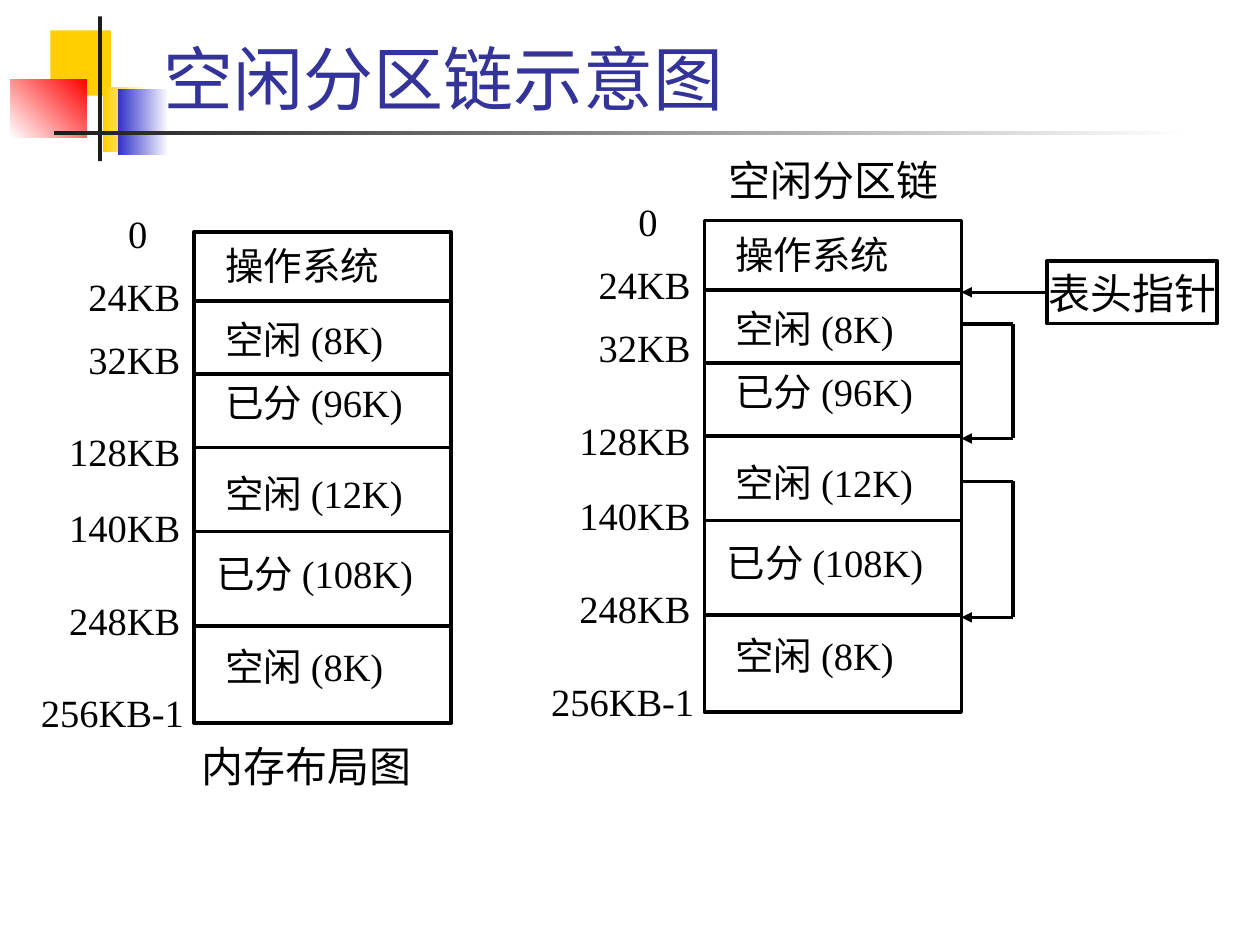
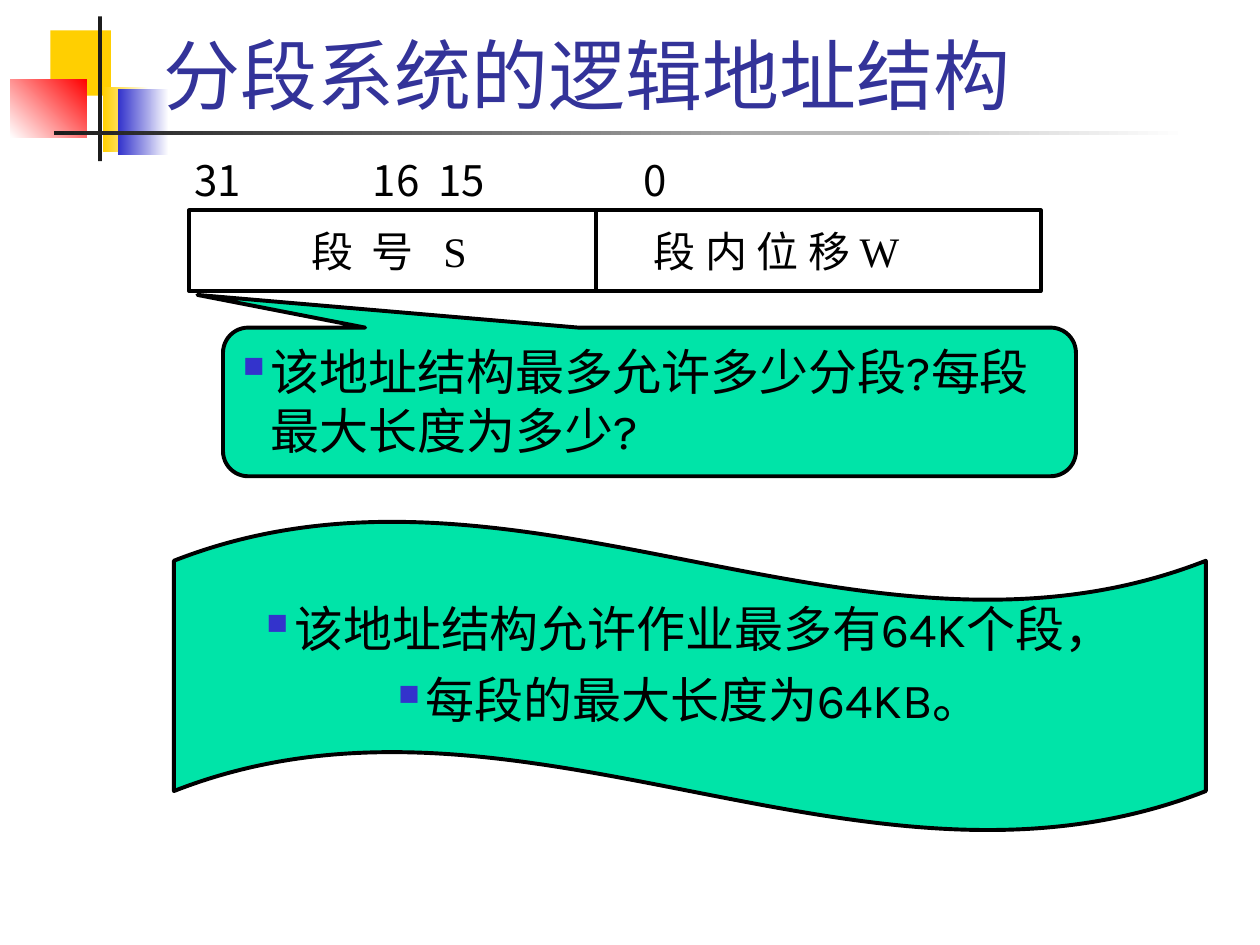
"""Build two slides on free partition chains and segmented addresses."""
from dataclasses import dataclass

from lxml.etree import SubElement
from pptx import Presentation
from pptx.dml.color import RGBColor
from pptx.enum.shapes import MSO_CONNECTOR, MSO_SHAPE
from pptx.enum.text import MSO_ANCHOR, MSO_AUTO_SIZE, PP_ALIGN
from pptx.oxml.ns import qn
from pptx.util import Inches, Pt


@dataclass(frozen=True)
class Theme:
    ink: RGBColor = RGBColor(0, 0, 0)
    paper: RGBColor = RGBColor(255, 255, 255)
    title: RGBColor = RGBColor(0x33, 0x33, 0x99)
    yellow: RGBColor = RGBColor(0xFF, 0xCF, 0x01)
    blue: RGBColor = RGBColor(0x33, 0x33, 0xCC)
    red: RGBColor = RGBColor(255, 0, 0)
    charcoal: RGBColor = RGBColor(0x1C, 0x1C, 0x1C)
    green: RGBColor = RGBColor(0, 0xE4, 0xA8)
    sans: str = "Karla"
    serif: str = "Times New Roman"
    digits: str = "Noto Sans CJK SC"
    memory_size: int = 22
    label_size: int = 24
    note_size: int = 28
    thin: float = 2
    thick: float = 2.25


THEME = Theme()


def add_box(slide, place, lines, preset=None, fill=None, border=None, insets=(0, 0, 0, 0),
            anchor=MSO_ANCHOR.TOP, align=PP_ALIGN.LEFT, font=THEME.sans,
            size=THEME.label_size, wrap=True):
    """Add a text box, or a preset shape with text, and return it."""
    place = [Inches(value) for value in place]
    if preset is None:
        box = slide.shapes.add_textbox(*place)
    else:
        box = slide.shapes.add_shape(preset, *place)
        box.shadow.inherit = False
        if fill is None:
            box.fill.background()
        else:
            box.fill.solid()
            box.fill.fore_color.rgb = fill
        box.line.color.rgb = THEME.ink
        box.line.width = Pt(border)
    frame = box.text_frame
    frame.word_wrap = wrap
    frame.vertical_anchor = anchor
    frame.margin_left, frame.margin_top, frame.margin_right, frame.margin_bottom = map(Inches, insets)
    for index, words in enumerate(lines):
        paragraph = frame.add_paragraph() if index else frame.paragraphs[0]
        paragraph.text = words
        paragraph.alignment = align
        paragraph.font.name = font
        paragraph.font.size = Pt(size)
        paragraph.font.color.rgb = THEME.ink
    return box


def add_line(slide, start, end, width=THEME.thin, arrow=False):
    """Add a straight line, with an arrowhead at its end if asked."""
    line = slide.shapes.add_connector(MSO_CONNECTOR.STRAIGHT, *map(Inches, start + end))
    line.line.color.rgb = THEME.ink
    line.line.width = Pt(width)
    if arrow:
        SubElement(line.line._get_or_add_ln(), qn("a:tailEnd"), type="triangle")
    SubElement(line._element.spPr, qn("a:effectLst"))
    return line


prs = Presentation()
prs.slide_width, prs.slide_height = Inches(10), Inches(7.5)
layout = prs.slide_layouts[5]
chain_slide, segment_slide = [prs.slides.add_slide(layout) for _ in range(2)]

ornaments = [
    ((0.4, 0.24, 0.48, 0.52), (THEME.yellow,), 0),
    ((0.82, 0.69, 0.36, 0.52), (THEME.paper, THEME.yellow), 180),
    ((0.94, 0.71, 0.4, 0.52), (THEME.paper, THEME.blue), 180),
    ((0.08, 0.63, 0.61, 0.46), (THEME.red, THEME.paper), 225),
    ((0.78, 0.13, 0.03, 1.15), (THEME.charcoal,), 0),
    ((0.43, 1.04, 9, 0.03), (THEME.paper, THEME.charcoal), 180),
]
for depth, (place, colours, angle) in enumerate(ornaments):
    ornament = chain_slide.shapes.add_shape(MSO_SHAPE.RECTANGLE, *map(Inches, place))
    ornament.shadow.inherit = False
    ornament.line.fill.background()
    if len(colours) == 1:
        ornament.fill.solid()
        ornament.fill.fore_color.rgb = colours[0]
    else:
        ornament.fill.gradient()
        ornament.fill.gradient_angle = angle
        for stop, colour in zip(ornament.fill.gradient_stops, colours):
            stop.color.rgb = colour
    layout.shapes.element.insert(2 + depth, ornament._element)

for slide, words, size in [(chain_slide, "空闲分区链示意图", 40),
                           (segment_slide, "分段系统的逻辑地址结构", 44)]:
    title = slide.shapes.title
    title.left, title.top, title.width, title.height = map(Inches, (1.2, 0.17, 8.52, 0.83))
    title.text_frame.text = words
    title.text_frame.auto_size = MSO_AUTO_SIZE.NONE
    title.text_frame.vertical_anchor = MSO_ANCHOR.BOTTOM
    heading = title.text_frame.paragraphs[0]
    heading.alignment = PP_ALIGN.LEFT
    heading.font.name = THEME.sans
    heading.font.size = Pt(size)
    heading.font.color.rgb = THEME.title

partitions = [("操作系统", 0, 0.15), ("空闲 (8K)", 16, 0.15), ("已分 (96K)", 10, 0.15),
              ("空闲 (12K)", 26, 0.15), ("已分 (108K)", 20, 0.08), ("空闲 (8K)", 27, 0.15)]
addresses = [("0", 0, 0.29), ("24KB", 10, 0.03), ("32KB", 10, 0.03), ("128KB", 27, 0.03),
             ("140KB", 17, 0.03), ("248KB", 27, 0.03), ("256KB-1", 27, 0)]
for left, top in [(1.54, 1.84), (5.59, 1.75)]:
    memory = add_box(chain_slide, (left, top, 2.04, 3.9), [row[0] for row in partitions],
                     MSO_SHAPE.RECTANGLE, THEME.paper, THEME.thin, (0.1, 0.09, 0.1, 0.13),
                     font=THEME.serif, size=THEME.memory_size)
    scale = add_box(chain_slide, (left - 1.24, top - 0.19, 1.16, 4.25),
                    [row[0] for row in addresses], insets=(0, 0.02, 0, 0),
                    align=PP_ALIGN.RIGHT, font=THEME.serif, size=THEME.memory_size)
    for column, rows, side in [(memory, partitions, "marL"), (scale, addresses, "marR")]:
        for paragraph, (_, gap, indent) in zip(column.text_frame.paragraphs, rows):
            paragraph.line_spacing = Pt(26)
            paragraph.space_before = Pt(gap)
            paragraph._p.get_or_add_pPr().set(side, str(Inches(indent)))
    for offset in (0.55, 1.13, 1.71, 2.38, 3.13):
        add_line(chain_slide, (left, top + offset), (left + 2.04, top + offset))

chain_edge, bend = 7.63, 8.04
for start, end in [(2.57, 3.48), (3.82, 4.9)]:
    add_line(chain_slide, (chain_edge, start), (bend, start))
    add_line(chain_slide, (bend, start), (bend, end))
    add_line(chain_slide, (bend, end), (chain_edge, end), arrow=True)

head_pointer = add_box(chain_slide, (8.31, 2.07, 1.35, 0.5), ["表头指针"], MSO_SHAPE.RECTANGLE,
                       border=THEME.thin, insets=(0.1, 0.05, 0.1, 0.05),
                       anchor=MSO_ANCHOR.MIDDLE, align=PP_ALIGN.CENTER, wrap=False)
add_line(chain_slide, (8.31, 2.32), (chain_edge, 2.32), arrow=True).begin_connect(head_pointer, 1)

for left, top, caption in [(5.71, 1.15, "空闲分区链"), (1.53, 5.8, "内存布局图")]:
    add_box(chain_slide, (left, top, 1.81, 0.55), [caption], anchor=MSO_ANCHOR.MIDDLE,
            align=PP_ALIGN.CENTER, wrap=False)

bit_numbers = add_box(segment_slide, (1.54, 1.23, 6.79, 0.42), ["31\t16\t15\t0"], font=THEME.digits)
address_fields = add_box(segment_slide, (1.5, 1.67, 6.76, 0.64), ["\t段\t号\tS\t段 内 位 移 W"],
                         MSO_SHAPE.RECTANGLE, THEME.paper, THEME.thick, (0, 0.12, 0, 0),
                         font=THEME.serif)
for row, stops in [(bit_numbers, (1.42, 1.94, 3.57)), (address_fields, (0.97, 1.45, 2.02, 3.69))]:
    properties = row.text_frame.paragraphs[0]._p.get_or_add_pPr()
    tab_list = properties.makeelement(qn("a:tabLst"))
    properties.insert(0, tab_list)
    for stop in stops:
        SubElement(tab_list, qn("a:tab"), pos=str(Inches(stop)), algn="l")
add_line(segment_slide, (4.73, 1.67), (4.73, 2.31), THEME.thick)

question = add_box(segment_slide, (1.77, 2.6, 6.77, 1.18),
                   ["该地址结构最多允许多少分段?每段最大长度为多少?"],
                   MSO_SHAPE.ROUNDED_RECTANGULAR_CALLOUT, THEME.green, THEME.thick,
                   (0.1, 0.05, 0.1, 0.05), size=THEME.note_size)
for index, value in enumerate((-0.53, -0.72, 0.17)):
    question.adjustments[index] = value
answer = add_box(segment_slide, (1.38, 4.13, 8.19, 2.47),
                 ["该地址结构允许作业最多有64K个段，", "每段的最大长度为64KB。"],
                 MSO_SHAPE.WAVE, THEME.green, THEME.thick, (0, 0, 0, 0.2),
                 MSO_ANCHOR.MIDDLE, PP_ALIGN.CENTER, size=THEME.note_size)
answer.adjustments[0] = 0.13
answer.text_frame.paragraphs[1].space_before = Pt(7)

for note in (question, answer):
    for paragraph in note.text_frame.paragraphs:
        properties = paragraph._p.get_or_add_pPr()
        properties.set("marL", str(Inches(0.22)))
        properties.set("indent", str(Inches(-0.22)))
        colour = properties.makeelement(qn("a:buClr"))
        SubElement(colour, qn("a:srgbClr"), val=str(THEME.blue))
        bullet = [colour, properties.makeelement(qn("a:buSzPct"), val="60000"),
                  properties.makeelement(qn("a:buChar"), char="■")]
        for part in bullet:
            properties.find(qn("a:defRPr")).addprevious(part)

prs.save("out.pptx")
